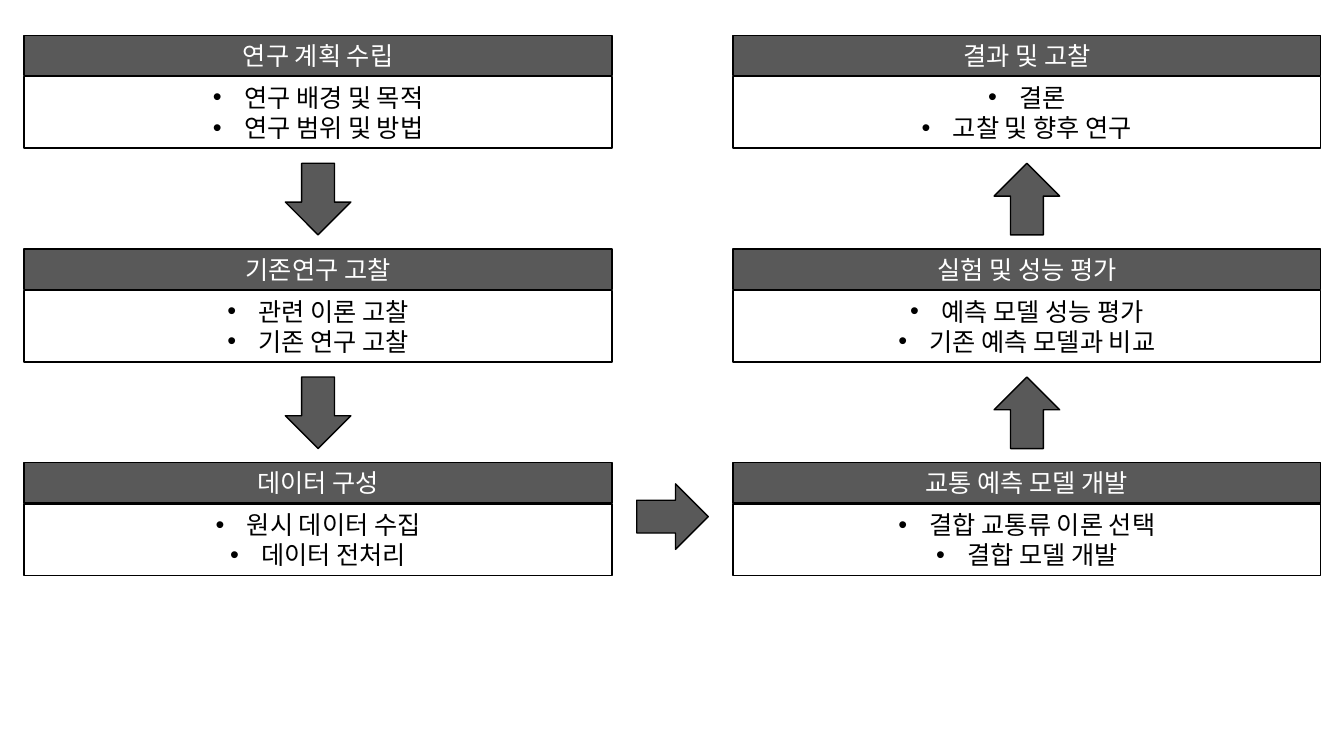
from pptx import Presentation
from pptx import util as u
from pptx.dml.color import RGBColor
from pptx.enum import shapes, text
from pptx.oxml.ns import qn
from lxml import etree

STAGES = [
    ("연구 계획 수립", ["연구 배경 및 목적", "연구 범위 및 방법"]),
    ("기존연구 고찰", ["관련 이론 고찰", "기존 연구 고찰"]),
    ("데이터 구성", ["원시 데이터 수집", "데이터 전처리"]),
    ("교통 예측 모델 개발", ["결합 교통류 이론 선택", "결합 모델 개발"]),
    ("실험 및 성능 평가", ["예측 모델 성능 평가", "기존 예측 모델과 비교"]),
    ("결과 및 고찰", ["결론", "고찰 및 향후 연구"]),
]
THEME = dict(font="Noto Sans CJK KR", size=18, leading=21.5, line=1,
             dark="595959", ink="000000", light="FFFFFF")

ROWS = 3
LEFTS, TOP, PITCH = (0.24, 7.27), 0.35, 2.12
WIDTH, HEAD_H, BODY_H = 5.83, 0.4, 0.71
BODY_DROP = 0.41
ARROW_W, ARROW_H, ARROW_DROP, TURN_DROP = 0.65, 0.71, 1.27, 0.18
INDENT = 0.31

prs = Presentation()
prs.slide_width, prs.slide_height = u.Inches(13.33), u.Inches(7.5)
s = prs.slides.add_slide(prs.slide_layouts[6])


def add_block(kind, x, y, w, h, fill=None, rotation=0):
    sp = s.shapes.add_shape(kind, *map(u.Inches, (x, y, w, h)))
    sp.shadow.inherit = False
    sp.rotation = rotation
    if fill:
        sp.fill.solid()
        sp.fill.fore_color.rgb = RGBColor.from_string(fill)
    else:
        sp.fill.background()
    sp.line.color.rgb = RGBColor.from_string(THEME["ink"])
    sp.line.width = u.Pt(THEME["line"])
    return sp


def write(sp, lines, color, bullet=False):
    tf = sp.text_frame
    tf.word_wrap = True
    tf.vertical_anchor = text.MSO_ANCHOR.MIDDLE
    for i, line in enumerate(lines):
        p = tf.add_paragraph() if i else tf.paragraphs[0]
        p.alignment = text.PP_ALIGN.CENTER
        p.line_spacing = u.Pt(THEME["leading"])
        if bullet:
            pPr = p._p.get_or_add_pPr()
            pPr.set("marL", str(u.Inches(INDENT)))
            pPr.set("indent", str(-u.Inches(INDENT)))
            etree.SubElement(pPr, qn("a:buFont")).set("typeface", "Arial")
            etree.SubElement(pPr, qn("a:buChar")).set("char", "•")
        r = p.add_run()
        r.text = line
        r.font.name = THEME["font"]
        r.font.size = u.Pt(THEME["size"])
        r.font.color.rgb = RGBColor.from_string(color)
        etree.SubElement(r._r.get_or_add_rPr(), qn("a:ea")).set("typeface", THEME["font"])


def add_arrow(center_x, y, rotation):
    add_block(shapes.MSO_SHAPE.DOWN_ARROW, center_x - ARROW_W / 2, y,
              ARROW_W, ARROW_H, THEME["dark"], rotation)


for i, (title, items) in enumerate(STAGES):
    col, step = divmod(i, ROWS)
    row = ROWS - 1 - step if col else step
    x, y = LEFTS[col], TOP + row * PITCH
    head = add_block(shapes.MSO_SHAPE.RECTANGLE, x, y, WIDTH, HEAD_H, THEME["dark"])
    write(head, [title], THEME["light"])
    body = add_block(shapes.MSO_SHAPE.RECTANGLE, x, y + BODY_DROP, WIDTH, BODY_H)
    write(body, items, THEME["ink"], bullet=True)
    if row < ROWS - 1:
        add_arrow(x + WIDTH / 2, y + ARROW_DROP, 180 if col else 0)

add_arrow((LEFTS[0] + WIDTH + LEFTS[1]) / 2, TOP + (ROWS - 1) * PITCH + TURN_DROP, 270)

prs.save("out.pptx")
